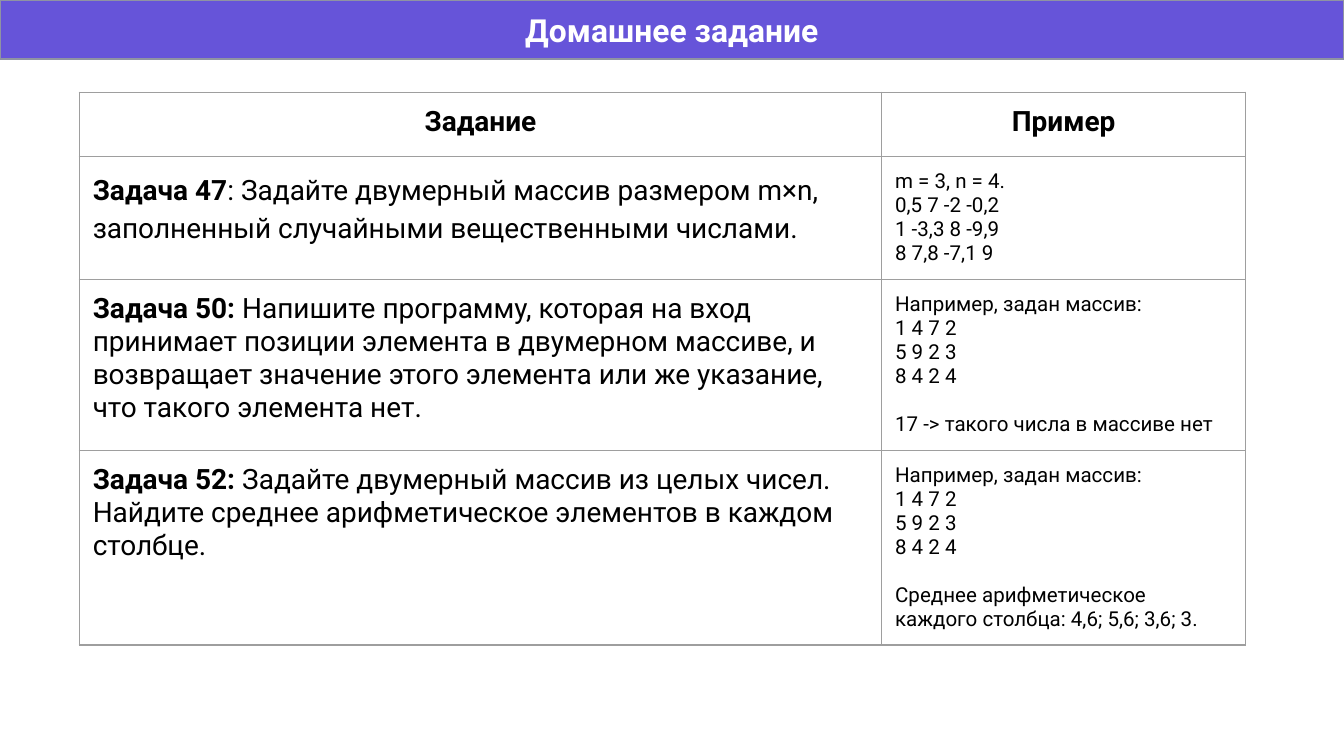
"""Builds the homework slide: a title bar over a table of tasks and examples."""
from dataclasses import dataclass

from lxml.etree import SubElement
from pptx import Presentation
from pptx.dml.color import RGBColor as Rgb
from pptx.enum.shapes import MSO_SHAPE as Shape
from pptx.enum.text import MSO_ANCHOR as Anchor, PP_ALIGN as Align
from pptx.oxml.ns import qn
from pptx.util import Inches, Pt


@dataclass(frozen=True)
class Theme:
    font: str = "Roboto"
    bar: str = "6654D9"
    bar_line: str = "8F93A3"
    grid: str = "9E9E9E"
    ink: str = "000000"
    paper: str = "FFFFFF"
    title: float = 17
    task: float = 15
    example: float = 11
    line: float = 0.75
    gap: float = 12.9


theme = Theme()


def style(paragraph, size, color=theme.ink, bold=False, align=Align.LEFT):
    paragraph.alignment = align
    for run in paragraph.runs:
        run.font.name = theme.font
        run.font.size = Pt(size)
        run.font.bold = bold
        run.font.color.rgb = Rgb.from_string(color)


def outline(cell):
    properties = cell._tc.get_or_add_tcPr()
    for side in ("a:lnL", "a:lnR", "a:lnT", "a:lnB"):
        edge = SubElement(properties, qn(side), w=str(Pt(theme.line)))
        fill = SubElement(edge, qn("a:solidFill"))
        SubElement(fill, qn("a:srgbClr"), val=theme.grid)


headings = ("Задание", "Пример")
array_lines = ("Например, задан массив:", "1 4 7 2", "5 9 2 3", "8 4 2 4")
tasks = (
    ("Задача 47",
     ": Задайте двумерный массив размером m×n, заполненный случайными вещественными числами.",
     ("m = 3, n = 4.", "0,5 7 -2 -0,2", "1 -3,3 8 -9,9", "8 7,8 -7,1 9"), None),
    ("Задача 50:",
     " Напишите программу, которая на вход принимает позиции элемента в двумерном массиве, "
     "и возвращает значение этого элемента или же указание, что такого элемента нет.",
     array_lines, "17 -> такого числа в массиве нет"),
    ("Задача 52: ",
     "Задайте двумерный массив из целых чисел. "
     "Найдите среднее арифметическое элементов в каждом столбце.",
     array_lines, "Среднее арифметическое каждого столбца: 4,6; 5,6; 3,6; 3."),
)

deck = Presentation()
deck.slide_width = Inches(10)
deck.slide_height = deck.slide_width * 9 // 16
slide = deck.slides.add_slide(deck.slide_layouts[6])

percent_x, percent_y = deck.slide_width // 100, deck.slide_height // 100
column_widths = [int(share * percent_x) for share in (59.7, 27.1)]
row_heights = [int(share * percent_y) for share in (8.5, 8.5, 17.78, 17.78)]
padding = percent_x

title_bar = slide.shapes.add_shape(
    Shape.RECTANGLE, 0, 0, deck.slide_width, int(7.8 * percent_y))
title_bar.shadow.inherit = False
title_bar.fill.solid()
title_bar.fill.fore_color.rgb = Rgb.from_string(theme.bar)
title_bar.line.color.rgb = Rgb.from_string(theme.bar_line)
title_bar.line.width = Pt(theme.line)
title = title_bar.text_frame
title.margin_left = title.margin_right = title.margin_top = title.margin_bottom = padding
title.vertical_anchor = Anchor.MIDDLE
title.text = "Домашнее задание"
style(title.paragraphs[0], theme.title, theme.paper, True, Align.CENTER)

homework = slide.shapes.add_table(
    len(row_heights), len(column_widths), int(5.9 * percent_x), int(12.2 * percent_y),
    sum(column_widths), sum(row_heights)).table
homework.first_row = homework.horz_banding = False
for column, width in zip(homework.columns, column_widths):
    column.width = width
for row, height in zip(homework.rows, row_heights):
    row.height = height
for cell in homework.iter_cells():
    cell.margin_left = cell.margin_right = cell.margin_top = cell.margin_bottom = padding
    outline(cell)
    cell.fill.background()

for index, heading in enumerate(headings):
    header = homework.cell(0, index).text_frame
    header.text = heading
    style(header.paragraphs[0], theme.task, bold=True, align=Align.CENTER)

for index, (label, wording, lines, result) in enumerate(tasks, start=1):
    task = homework.cell(index, 0).text_frame.paragraphs[0]
    task.text = label
    task.add_run().text = wording
    style(task, theme.task)
    task.runs[0].font.bold = True

    example = homework.cell(index, 1).text_frame
    example.text = "\n".join(lines)
    if result:
        closing = example.add_paragraph()
        closing.text = result
        closing.space_before = Pt(theme.gap)
    for paragraph in example.paragraphs:
        style(paragraph, theme.example)

first_task = homework.cell(1, 0).text_frame.paragraphs[0]
first_task.line_spacing = 1.15
first_task.space_before = first_task.space_after = Pt(12)

deck.save("out.pptx")
